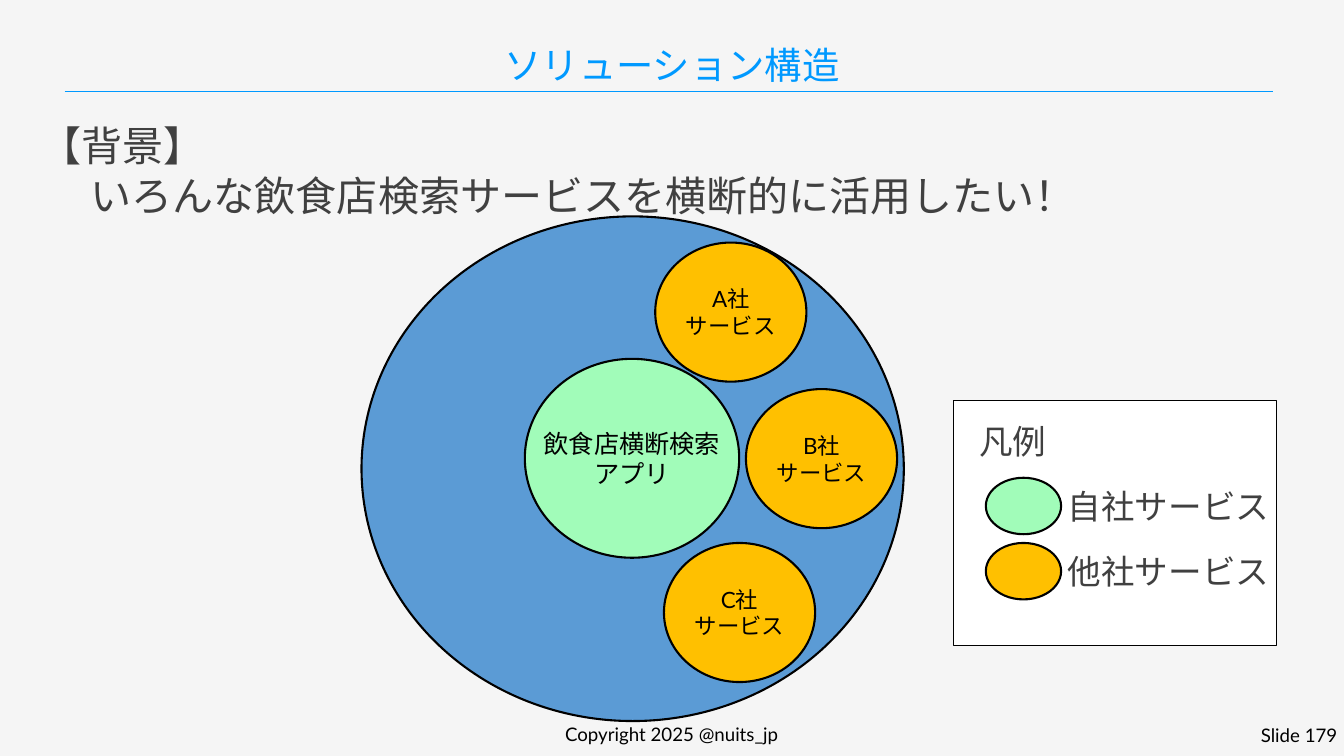
from dataclasses import dataclass

from lxml import etree
from pptx import Presentation
from pptx.dml.color import RGBColor
from pptx.enum.shapes import MSO_CONNECTOR, MSO_SHAPE
from pptx.enum.text import MSO_ANCHOR, MSO_AUTO_SIZE, PP_ALIGN
from pptx.oxml.ns import qn
from pptx.slide import Slide
from pptx.text.text import TextFrame
from pptx.util import Inches, Pt

OVAL, RECT = MSO_SHAPE.OVAL, MSO_SHAPE.RECTANGLE
STRAIGHT = MSO_CONNECTOR.STRAIGHT
TOP, MIDDLE, BOTTOM = MSO_ANCHOR.TOP, MSO_ANCHOR.MIDDLE, MSO_ANCHOR.BOTTOM
LEFT, CENTER, RIGHT = PP_ALIGN.LEFT, PP_ALIGN.CENTER, PP_ALIGN.RIGHT
NO_FIT = MSO_AUTO_SIZE.NONE


@dataclass(frozen=True)
class Theme:
    font: str = "Lato"
    background: str = "F5F5F5"
    accent: str = "0099FF"
    text: str = "404040"
    black: str = "000000"
    white: str = "FFFFFF"
    solution: str = "5B9BD5"
    own: str = "A1FCB9"
    other: str = "FFC000"
    title: int = 40
    body: int = 44
    legend: int = 36
    app: int = 27
    service: int = 24
    footer: int = 20


@dataclass(frozen=True)
class Box:
    left: float
    top: float
    width: float
    height: float

    def lengths(self) -> tuple:
        return tuple(Inches(v) for v in (self.left, self.top, self.width, self.height))


@dataclass(frozen=True)
class Service:
    name: str
    left: float
    top: float


@dataclass(frozen=True)
class LegendEntry:
    label: str
    color: str


THEME = Theme()
SERVICES = [Service("A社", 9.75, 3.61), Service("B社", 11.1, 5.79), Service("C社", 9.88, 8.08)]
LEGEND = [LegendEntry("自社サービス", THEME.own), LegendEntry("他社サービス", THEME.other)]


def rgb(color: str) -> RGBColor:
    return RGBColor.from_string(color)


def write(tf: TextFrame, lines: list[str], size: int, color: str,
          align=LEFT, anchor=TOP, wrap: bool = False) -> None:
    frame_format = {"word_wrap": wrap, "auto_size": NO_FIT, "vertical_anchor": anchor}
    for name, value in frame_format.items():
        setattr(tf, name, value)
    font_format = {"name": THEME.font, "size": Pt(size)}
    for i, line in enumerate(lines):
        p = tf.paragraphs[0] if i == 0 else tf.add_paragraph()
        p.alignment = align
        r = p.add_run()
        r.text = line
        for name, value in font_format.items():
            setattr(r.font, name, value)
        r.font.color.rgb = rgb(color)


def add_text(s: Slide, box: Box, lines: list[str], size: int, color: str,
             **layout) -> TextFrame:
    tf = s.shapes.add_textbox(*box.lengths()).text_frame
    write(tf, lines, size, color, **layout)
    return tf


def add_figure(s: Slide, kind, box: Box, fill: str, line_width: float = 2.25) -> TextFrame:
    sp = s.shapes.add_shape(kind, *box.lengths())
    sp.shadow.inherit = False
    sp.fill.solid()
    sp.fill.fore_color.rgb = rgb(fill)
    sp.line.color.rgb = rgb(THEME.black)
    sp.line.width = Pt(line_width)
    return sp.text_frame


def add_header(s: Slide) -> None:
    title = s.shapes.title
    title.left, title.top, title.width, title.height = Box(0.35, 0.51, 19.3, 0.84).lengths()
    write(title.text_frame, ["ソリューション構造"], THEME.title, THEME.accent,
          align=CENTER, anchor=BOTTOM, wrap=True)
    title.text_frame.paragraphs[0].line_spacing = 0.9

    rule = s.shapes.add_connector(STRAIGHT, Inches(0.96), Inches(1.36),
                                  Inches(18.94), Inches(1.36))
    rule.line.color.rgb = rgb(THEME.accent)
    rule.line.width = Pt(0.5)
    etree.SubElement(rule._element.spPr, qn("a:effectLst"))


def add_background_note(s: Slide) -> None:
    tf = add_text(s, Box(0.5, 1.75, 15.77, 1.58),
                  ["【背景】", "いろんな飲食店検索サービスを横断的に活用したい！"],
                  THEME.body, THEME.text)
    p = tf.paragraphs[1]
    p.level = 1
    pPr = p._p.get_or_add_pPr()
    pPr.set("marL", str(Inches(0.75)))
    pPr.set("indent", "0")


def add_solution(s: Slide) -> None:
    add_figure(s, OVAL, Box(5.38, 3.22, 8.07, 7.51), THEME.solution)
    app = add_figure(s, OVAL, Box(7.81, 5.34, 3.19, 2.96), THEME.own)
    for side in ("left", "top", "right", "bottom"):
        setattr(app, f"margin_{side}", 0)
    write(app, ["飲食店横断検索", "アプリ"], THEME.app, THEME.black,
          align=CENTER, anchor=MIDDLE)
    for service in SERVICES:
        tf = add_figure(s, OVAL, Box(service.left, service.top, 2.25, 2.07), THEME.other)
        write(tf, [service.name, "サービス"], THEME.service, THEME.black,
              align=CENTER, anchor=MIDDLE)


def add_legend(s: Slide) -> None:
    add_figure(s, RECT, Box(14.19, 5.96, 4.81, 3.64), THEME.white, line_width=1)
    add_text(s, Box(14.47, 6.21, 1.21, 0.71), ["凡例"], THEME.legend, THEME.text)
    for i, entry in enumerate(LEGEND):
        top = 7.11 + 0.97 * i
        add_figure(s, OVAL, Box(14.67, top, 1.12, 0.84), entry.color)
        add_text(s, Box(15.79, top + 0.07, 3.23, 0.71), [entry.label],
                 THEME.legend, THEME.text)


def add_footer(s: Slide) -> None:
    add_text(s, Box(6.62, 10.74, 6.75, 0.38), ["Copyright 2025 @nuits_jp"],
             THEME.footer, THEME.black, align=CENTER, anchor=MIDDLE, wrap=True)
    add_text(s, Box(18.28, 10.75, 1.72, 0.37), ["Slide 179"],
             THEME.footer, THEME.black, align=RIGHT, anchor=MIDDLE, wrap=True)


def main() -> None:
    prs = Presentation()
    prs.slide_width, prs.slide_height = Inches(20), Inches(11.25)
    s = prs.slides.add_slide(prs.slide_layouts.get_by_name("Title Only"))
    s.background.fill.solid()
    s.background.fill.fore_color.rgb = rgb(THEME.background)

    # Footer, title and rule
    add_footer(s)
    add_header(s)
    # Solution circle with its services; the note lies over its top edge
    add_solution(s)
    add_background_note(s)
    # Key to the colours
    add_legend(s)

    prs.save("out.pptx")


if __name__ == "__main__":
    main()
